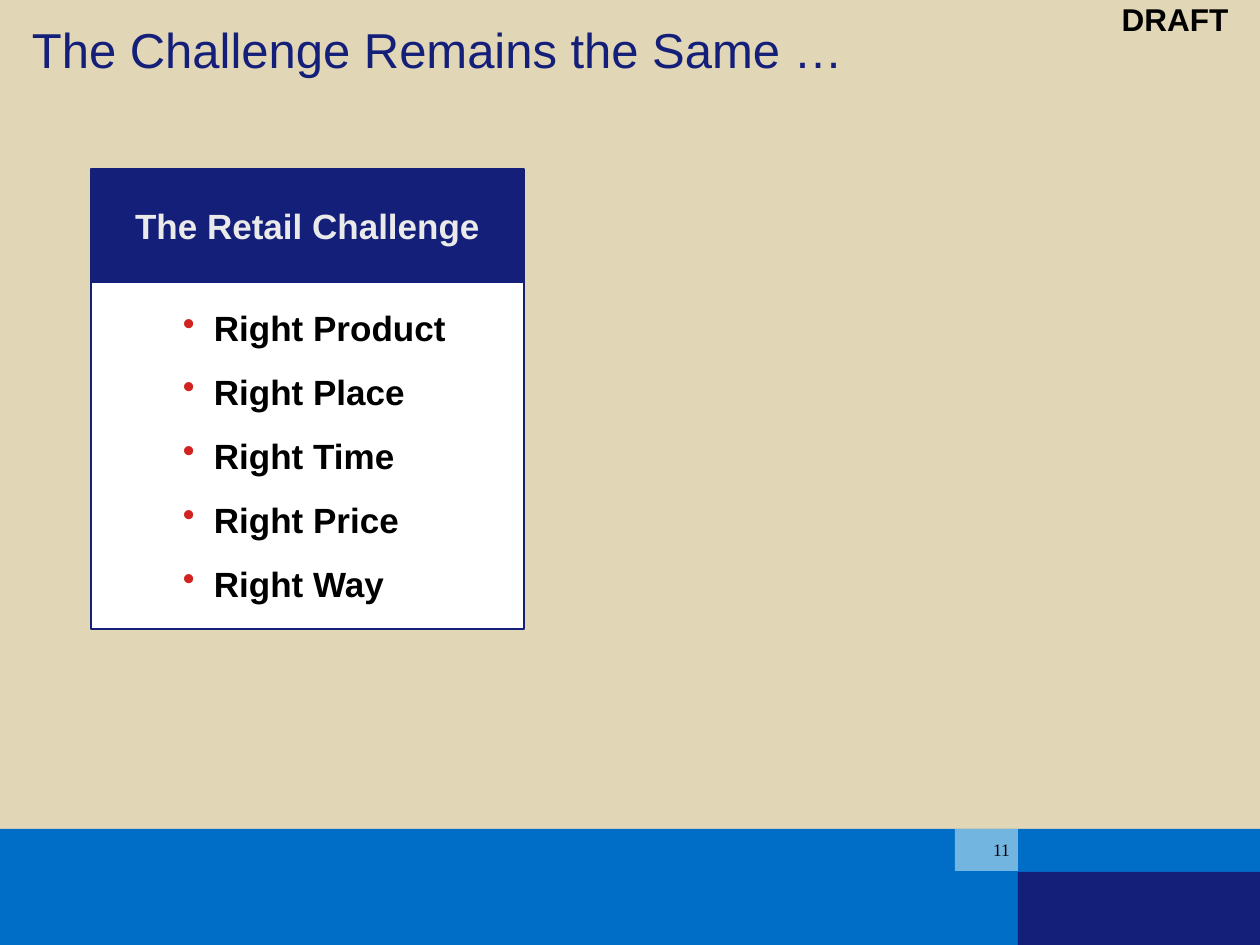
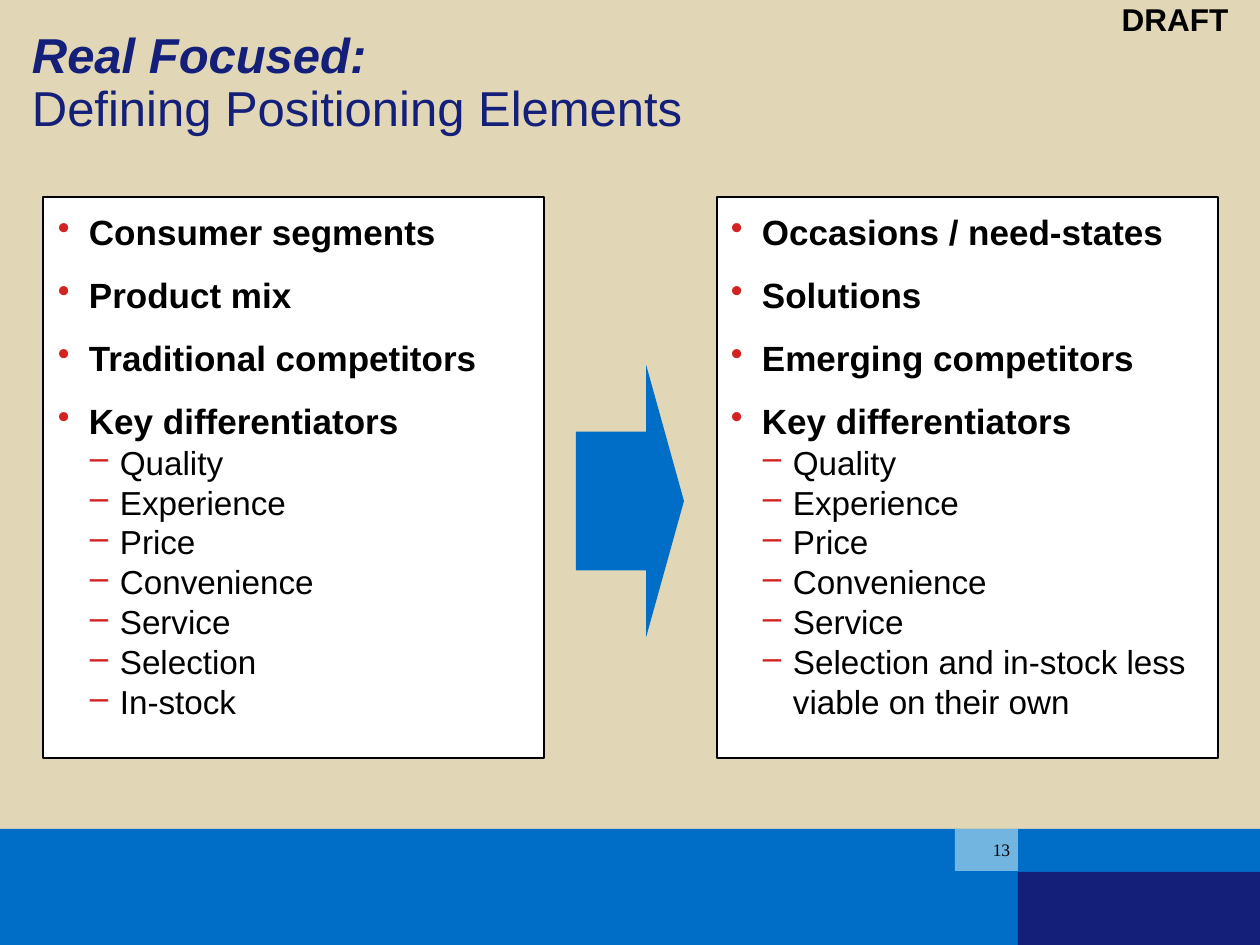
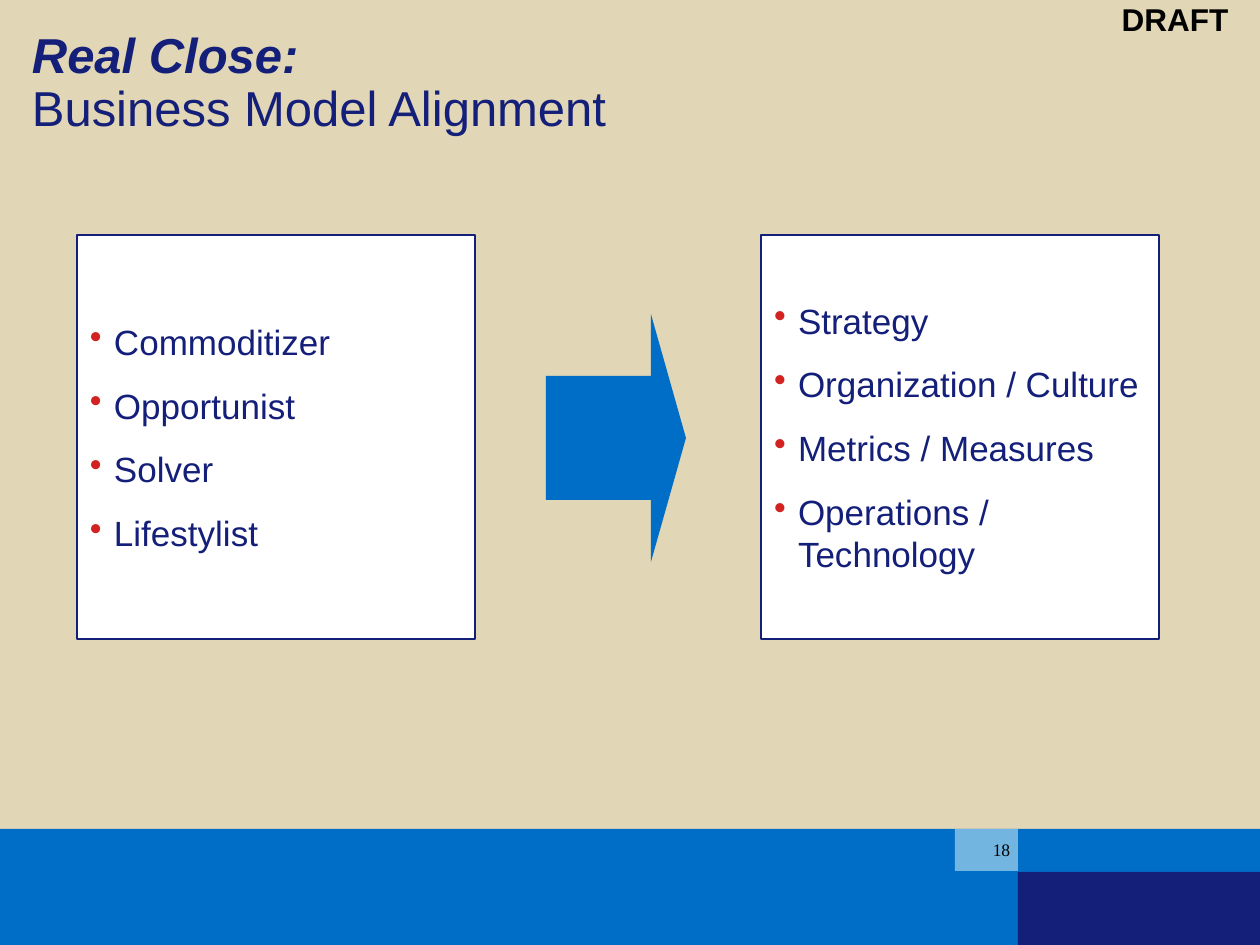
from lxml.etree import SubElement
from pptx import Presentation
from pptx.dml.color import RGBColor as Rgb
from pptx.enum.shapes import MSO_SHAPE as Kind
from pptx.enum.text import MSO_ANCHOR as Anchor, PP_ALIGN as Align
from pptx.oxml.ns import qn
from pptx.util import Pt

HUES = {"sand": "E1D6B5", "blue": "006EC7", "navy": "141F79", "sky": "73B5E1",
        "red": "D22321", "white": "FFFFFF", "pale": "EAEAEA", "black": "000000"}

FONTS = {
    "title": {"size": 28, "hue": "navy", "bold": False, "italic": False},
    "lead": {"size": 28, "hue": "navy", "bold": True, "italic": True},
    "draft": {"size": 18, "hue": "black", "bold": True},
    "page": {"size": 10, "hue": "black", "name": "Times New Roman"},
    "head": {"size": 20, "hue": "pale", "bold": True},
    "item": {"size": 20, "hue": "black", "bold": True},
    "sub": {"size": 19, "hue": "black", "bold": False},
    "plain": {"size": 20, "hue": "navy", "bold": False},
}

LISTS = {
    "right": {"font": "item", "mark": "•", "left": 110, "hang": 31, "gap": 12.5},
    "point": {"font": "item", "mark": "•", "left": 33, "hang": 31, "gap": 12.5},
    "dash": {"font": "sub", "mark": "–", "left": 64, "hang": 30, "gap": 0},
    "model": {"font": "plain", "mark": "•", "left": 24, "hang": 24, "gap": 12.5},
}

BANDS = [("blue", (0, 829, 1260, 116)), ("navy", (1018, 872, 242, 73)),
         ("sky", (955, 829, 63, 42))]

RIGHTS = ["Right Product", "Right Place", "Right Time", "Right Price", "Right Way"]

FOCUS = [
    (["Consumer segments", "Product mix", "Traditional competitors", "Key differentiators"],
     ["Quality", "Experience", "Price", "Convenience", "Service", "Selection", "In-stock"]),
    (["Occasions / need-states", "Solutions", "Emerging competitors", "Key differentiators"],
     ["Quality", "Experience", "Price", "Convenience", "Service",
      "Selection and in-stock less viable on their own"]),
]

MODELS = [
    ["Commoditizer", "Opportunist", "Solver", "Lifestylist"],
    ["Strategy", "Organization / Culture", "Metrics / Measures", "Operations / Technology"],
]

SCALE = 914400 / 126


def px(num):
    return round(num * SCALE)


def tint(hue):
    return Rgb.from_string(HUES[hue])


def write(para, text, style):
    run = para.add_run()
    run.text = text
    form = {"name": "Arial", **FONTS[style]}
    run.font.color.rgb = tint(form.pop("hue"))
    form["size"] = Pt(form["size"])
    for key, val in form.items():
        setattr(run.font, key, val)


def frame(shape, pad=0, anchor=Anchor.TOP):
    body = shape.text_frame
    form = {"word_wrap": True, "vertical_anchor": anchor}
    form.update({f"margin_{side}": px(pad) for side in ("left", "top", "right", "bottom")})
    for key, val in form.items():
        setattr(body, key, val)
    return body


def block(slide, at, fill, edge=None, width=1.5, kind=Kind.RECTANGLE):
    shape = slide.shapes.add_shape(kind, *map(px, at))
    shape.shadow.inherit = False
    shape.fill.solid()
    shape.fill.fore_color.rgb = tint(fill)
    if edge:
        shape.line.color.rgb = tint(edge)
        shape.line.width = Pt(width)
    else:
        shape.line.fill.background()
    return shape


def arrow(slide, at, neck, tip):
    shape = block(slide, at, "blue", kind=Kind.RIGHT_ARROW)
    shape.adjustments[0] = neck
    shape.adjustments[1] = tip


def label(slide, at, text, style, anchor=Anchor.TOP):
    para = frame(slide.shapes.add_textbox(*map(px, at)), 0, anchor).paragraphs[0]
    para.alignment = Align.CENTER
    write(para, text, style)


def bullets(body, rows):
    for num, (text, kind) in enumerate(rows):
        form = LISTS[kind]
        para = body.add_paragraph() if num else body.paragraphs[0]
        para.alignment = Align.LEFT
        para.space_before = Pt(form["gap"] if num else 0)
        props = para._p.get_or_add_pPr()
        props.set("marL", str(px(form["left"])))
        props.set("indent", str(px(-form["hang"])))
        shade = SubElement(props, qn("a:buClr"))
        SubElement(shade, qn("a:srgbClr"), val=HUES["red"])
        SubElement(props, qn("a:buChar"), char=form["mark"])
        write(para, text, form["font"])


def start(deck, page, title, lead=None):
    slide = deck.slides.add_slide(deck.slide_layouts[6])
    for fill, at in BANDS:
        block(slide, at, fill)
    label(slide, (1090, 0, 170, 38), "DRAFT", "draft")
    label(slide, (985, 834, 33, 32), page, "page", Anchor.MIDDLE)
    tall = 108 if lead else 50
    box = slide.shapes.add_textbox(*map(px, (32, 29, 1197, tall)))
    para = frame(box, 0, Anchor.BOTTOM).paragraphs[0]
    para.line_spacing = 0.9
    if lead:
        write(para, lead, "lead")
        para.add_line_break()
    write(para, title, "title")
    return slide


def retail(deck):
    slide = start(deck, "11", "The Challenge Remains the Same …")
    head = block(slide, (91, 169, 433, 113), "navy", "navy")
    para = frame(head, 13, Anchor.MIDDLE).paragraphs[0]
    para.alignment = Align.CENTER
    write(para, "The Retail Challenge", "head")
    body = block(slide, (91, 282, 433, 347), "white", "navy")
    bullets(frame(body, 13, Anchor.MIDDLE), [(text, "right") for text in RIGHTS])


def focus(deck):
    slide = start(deck, "13", "Defining Positioning Elements", "Real Focused:")
    for col, (points, subs) in enumerate(FOCUS):
        left = 43 + 674 * col
        block(slide, (left, 197, 501, 561), "white", "black", 1)
        for row, point in enumerate(points):
            last = row == len(points) - 1
            rows = [(point, "point")]
            if last:
                rows += [(sub, "dash") for sub in subs]
            at = (left - col, 198 + 63 * row, 503, 346 if last else 67)
            bullets(frame(slide.shapes.add_textbox(*map(px, at)), 13), rows)
    arrow(slide, (576, 365, 108, 272), 0.51, 0.35)


def close(deck):
    slide = start(deck, "18", "Business Model Alignment", "Real Close:")
    for col, items in enumerate(MODELS):
        box = block(slide, (77 + 684 * col, 235, 398, 404), "white", "navy")
        bullets(frame(box, 13, Anchor.MIDDLE), [(text, "model") for text in items])
    arrow(slide, (546, 314, 140, 248), 0.5, 0.25)


def main():
    deck = Presentation()
    deck.slide_width, deck.slide_height = px(1260), px(945)
    back = deck.slide_master.background.fill
    back.solid()
    back.fore_color.rgb = tint("sand")
    for make in (retail, focus, close):
        make(deck)
    deck.save("out.pptx")


if __name__ == "__main__":
    main()
